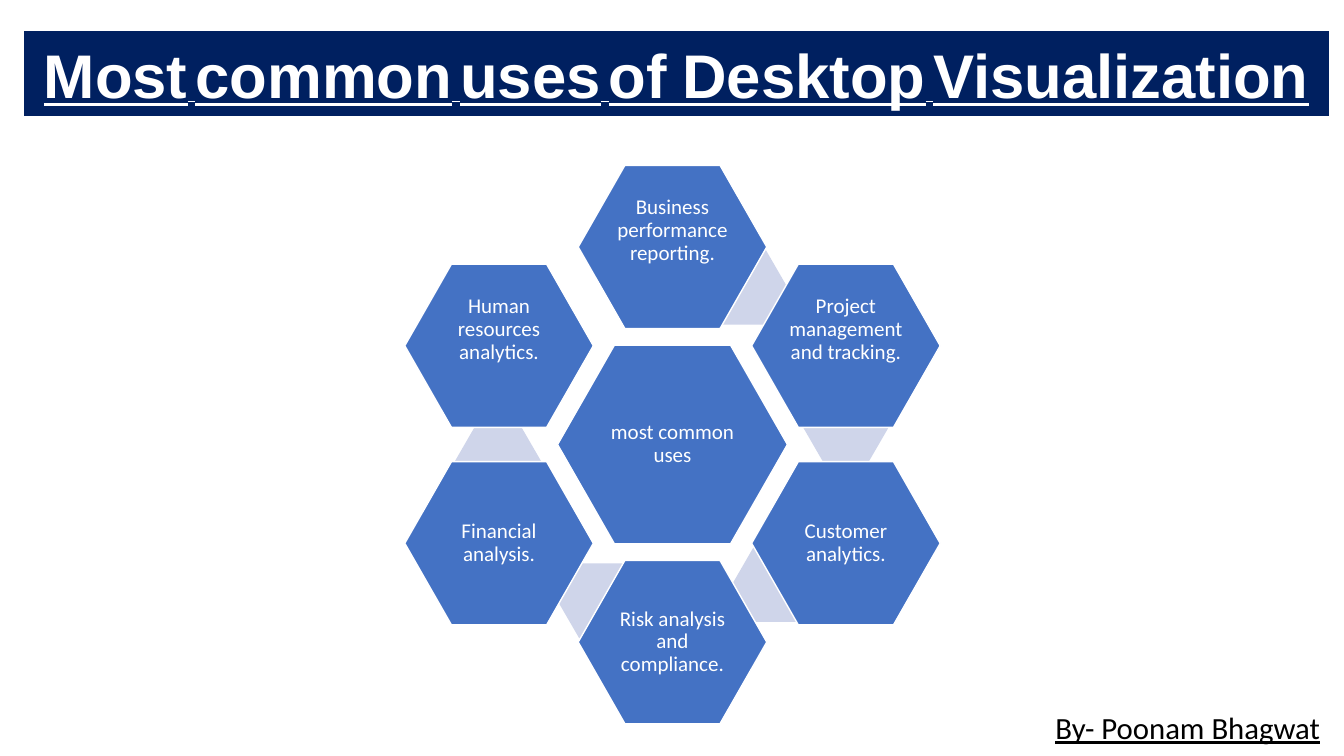
from pptx import Presentation
from pptx.dml.color import RGBColor
from pptx.enum.shapes import MSO_SHAPE
from pptx.enum.text import MSO_ANCHOR, MSO_AUTO_SIZE, PP_ALIGN
from pptx.util import Inches, Pt

HEXAGON = MSO_SHAPE.HEXAGON
MIDDLE = MSO_ANCHOR.MIDDLE
CENTER, LEFT = PP_ALIGN.CENTER, PP_ALIGN.LEFT
NO_AUTOFIT = MSO_AUTO_SIZE.NONE
TITLE_ONLY = 5

COLORS = {"navy": "002060", "blue": "4472C4", "pale": "CFD5EA",
          "white": "FFFFFF", "black": "000000"}

# Title pieces with their sizes: words are large, gaps between them small
TITLE_RUNS = [("Most", 44), (" ", 20), ("common", 44), (" ", 20),
              ("uses", 44), (" ", 20), ("of", 44), (" ", 40),
              ("Desktop", 44), (" ", 20), ("Visualization", 44)]

# Ring of uses: text, column and row step from the hub, raised text or not
STEP_X, STEP_Y = 1.72, 0.98
RING_SIZE, HUB_SIZE, LINK_SIZE = (1.87, 1.62), (2.28, 1.97), (0.86, 0.74)
USES = [("Business performance reporting.", 0, -2, True),
        ("Project management and tracking.", 1, -1, True),
        ("Customer analytics.", 1, 1, False),
        ("Risk analysis and compliance.", 0, 2, False),
        ("Financial analysis.", -1, 1, False),
        ("Human resources analytics.", -1, -1, True)]

# Centres of the pale links, measured from the hub
LINKS = [(0.71, -1.56), (1.72, -0.18), (1.02, 1.39),
         (-0.71, 1.55), (-1.73, 0.17)]


def color(name):
    return RGBColor.from_string(COLORS[name])


def add_run(para, text, size, font, ink, bold=False, underline=False):
    span = para.add_run()
    span.text = text
    span.font.size = Pt(size)
    span.font.name = font
    span.font.color.rgb = color(ink)
    span.font.bold = bold
    span.font.underline = underline


def add_hexagon(page, center, size, fill, adjust):
    (x, y), (width, height) = center, size
    hexagon = page.shapes.add_shape(
        HEXAGON, Inches(x - width / 2), Inches(y - height / 2),
        Inches(width), Inches(height))
    hexagon.adjustments[0] = adjust
    hexagon.shadow.inherit = False
    hexagon.fill.solid()
    hexagon.fill.fore_color.rgb = color(fill)
    hexagon.line.fill.background()
    return hexagon


def add_use(page, center, size, text, raised=False):
    hexagon = add_hexagon(page, center, size, "blue", 0.286)
    hexagon.line.color.rgb = color("white")
    hexagon.line.width = Pt(1)
    frame = hexagon.text_frame
    frame.word_wrap = True
    frame.vertical_anchor = MIDDLE
    frame.margin_left = frame.margin_right = frame.margin_top = Inches(0.02)
    frame.margin_bottom = Inches(0.34 if raised else 0.02)
    para = frame.paragraphs[0]
    para.alignment = CENTER
    para.line_spacing = 0.9
    add_run(para, text, 15, "Calibri", "white")


def add_title(page, left, top, width, height):
    title = page.shapes.title
    title.left, title.top = Inches(left), Inches(top)
    title.width, title.height = Inches(width), Inches(height)
    title.fill.solid()
    title.fill.fore_color.rgb = color("navy")
    frame = title.text_frame
    frame.auto_size = NO_AUTOFIT
    frame.word_wrap = False
    frame.vertical_anchor = MIDDLE
    para = frame.paragraphs[0]
    para.alignment = CENTER
    for text, size in TITLE_RUNS:
        add_run(para, text, size, "Arial", "white", bold=True, underline=True)


def add_hexagon_ring(page, left, top, width, height):
    hub_x, hub_y = left + width / 2, top + height / 2
    # Links lie behind the hexagons
    for dx, dy in LINKS:
        add_hexagon(page, (hub_x + dx, hub_y + dy), LINK_SIZE, "pale", 0.289)
    # Hub and its ring
    add_use(page, (hub_x, hub_y), HUB_SIZE, "most common uses")
    for text, column, row, raised in USES:
        center = (hub_x + column * STEP_X, hub_y + row * STEP_Y)
        add_use(page, center, RING_SIZE, text, raised)


def add_byline(page, left, top, width, height):
    box = page.shapes.add_textbox(Inches(left), Inches(top),
                                  Inches(width), Inches(height))
    box.text_frame.word_wrap = True
    para = box.text_frame.paragraphs[0]
    para.alignment = LEFT
    add_run(para, "By- Poonam Bhagwat", 22, "Calibri", "black", underline=True)


def main():
    deck = Presentation()
    deck.slide_width, deck.slide_height = Inches(13.33), Inches(7.5)
    page = deck.slides.add_slide(deck.slide_layouts[TITLE_ONLY])
    add_title(page, 0.24, 0.31, 12.94, 0.84)
    add_hexagon_ring(page, 4.02, 1.63, 5.3, 5.56)
    add_byline(page, 10.37, 6.98, 2.9, 0.47)
    deck.save("out.pptx")


if __name__ == "__main__":
    main()
